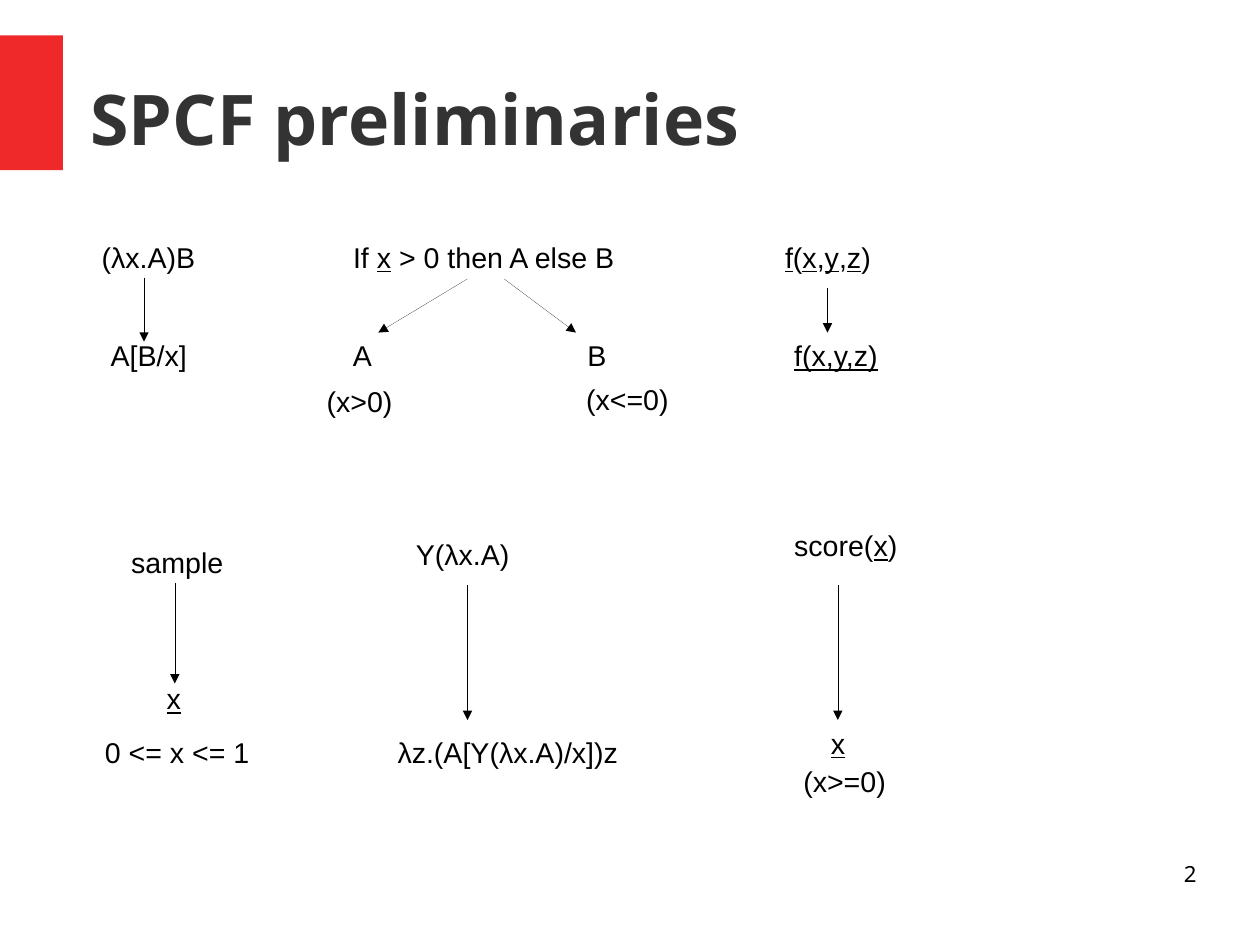
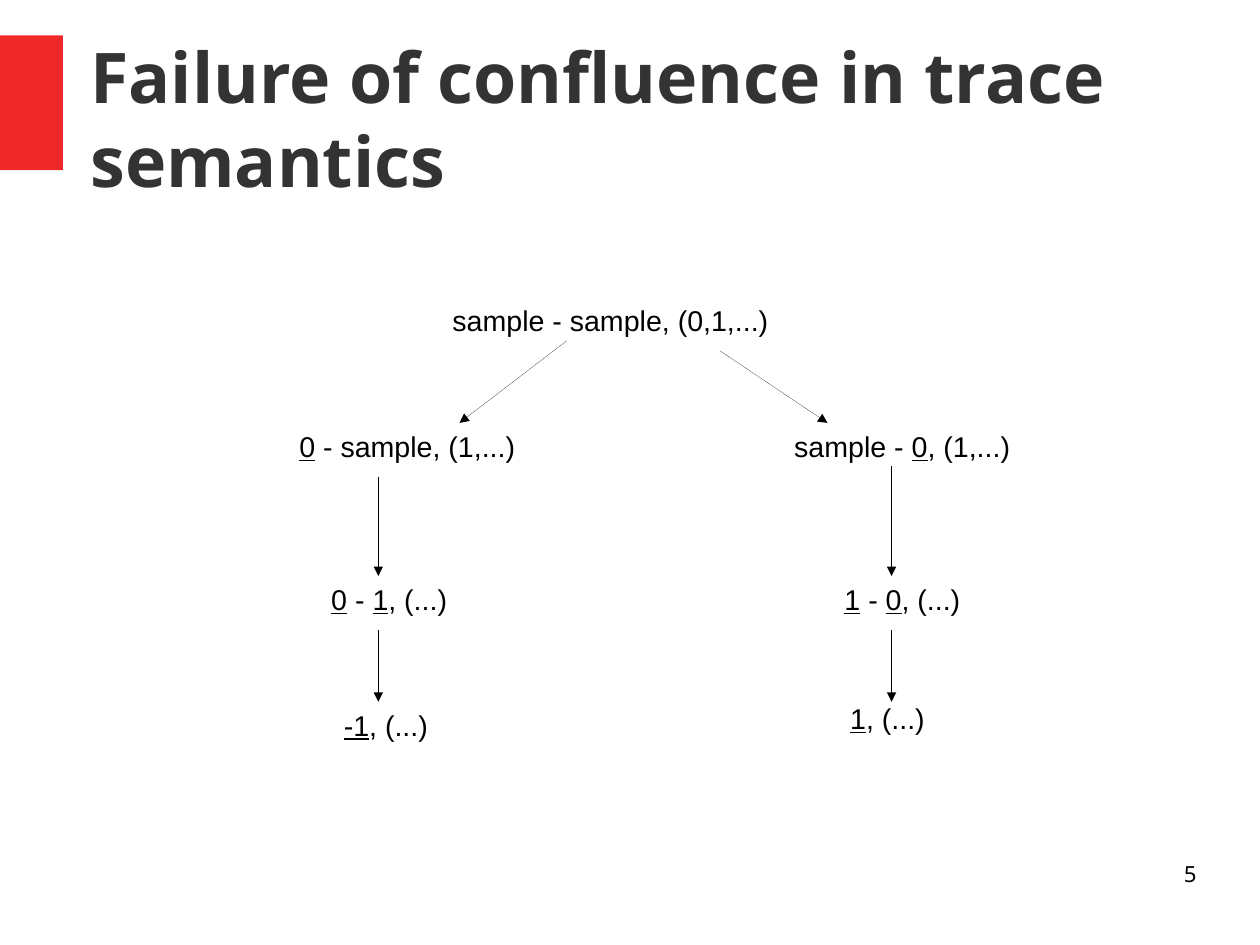
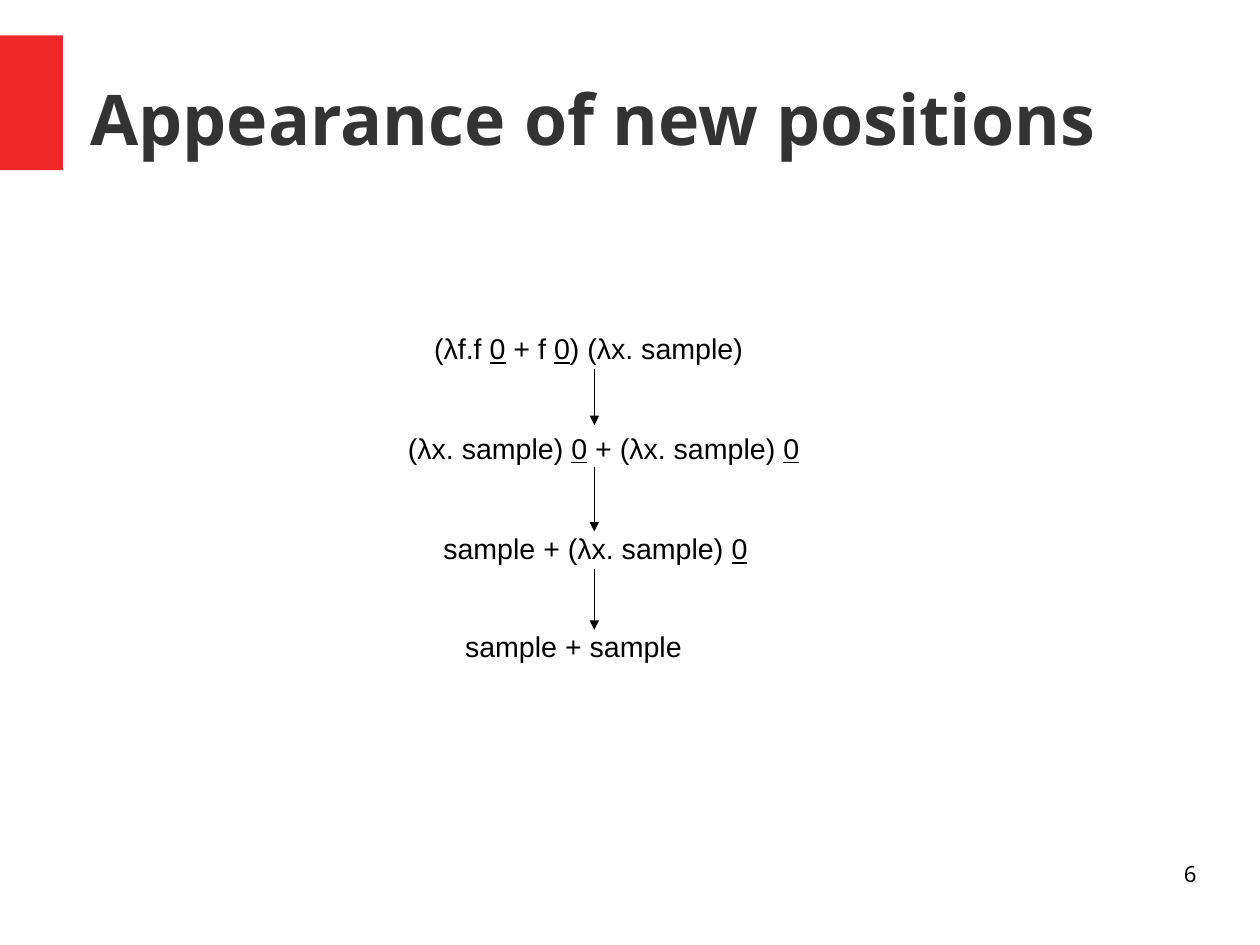
from dataclasses import dataclass

import pptx
import pptx.dml.color
import pptx.enum.shapes
import pptx.enum.text
import pptx.oxml
import pptx.oxml.ns
import pptx.util
from pptx.util import Inches

ALIGN = pptx.enum.text.PP_ALIGN
ANCHOR = pptx.enum.text.MSO_ANCHOR
AUTO_SIZE = pptx.enum.text.MSO_AUTO_SIZE


def rgb(value):
    return pptx.dml.color.RGBColor.from_string(value)


def set_all(target, values):
    for name, value in values.items():
        setattr(target, name, value)


@dataclass(frozen=True)
class Theme:
    accent = rgb("EF2929")
    ink = rgb("000000")
    title = {"name": "Noto Sans", "size": pptx.util.Pt(44), "bold": True}
    title_color = rgb("333333")
    term = {"name": "Arial", "size": pptx.util.Pt(18)}
    number = {"name": "Noto Sans", "size": pptx.util.Pt(14)}
    title_frame = {
        "margin_left": 0, "margin_top": 0, "margin_right": 0, "margin_bottom": 0,
        "word_wrap": True, "vertical_anchor": ANCHOR.MIDDLE,
        "auto_size": AUTO_SIZE.NONE,
    }
    number_frame = {**title_frame, "vertical_anchor": ANCHOR.TOP}
    term_frame = {"word_wrap": True, "auto_size": AUTO_SIZE.SHAPE_TO_FIT_TEXT}


class Deck:
    term_height = 0.38
    term_slack = 0.03

    def __init__(self):
        self.theme = Theme()
        self.deck = pptx.Presentation()
        # 28 by 21 cm is the exact page format.
        self.deck.slide_width = pptx.util.Cm(28)
        self.deck.slide_height = pptx.util.Cm(21)
        self.page = None

    def add_page(self, title, number):
        self.page = self.deck.slides.add_slide(self.deck.slide_layouts[5])
        self.add_band()
        self.set_title(title)
        self.add_number(number)

    def add_band(self):
        band = self.page.shapes.add_shape(
            pptx.enum.shapes.MSO_SHAPE.RECTANGLE,
            0, Inches(0.31), Inches(0.55), Inches(1.18))
        band.shadow.inherit = False
        band.fill.solid()
        band.fill.fore_color.rgb = self.theme.accent
        band.line.fill.background()

    def set_title(self, text):
        title = self.page.shapes.title
        set_all(title, {"left": Inches(0.79), "top": Inches(0.19),
                        "width": Inches(9.68), "height": Inches(1.67)})
        set_all(title.text_frame, self.theme.title_frame)
        para = title.text_frame.paragraphs[0]
        para.alignment = ALIGN.LEFT
        self.add_span(para, text, self.theme.title, self.theme.title_color)

    def add_number(self, number):
        box = self.page.shapes.add_textbox(
            Inches(7.9), Inches(7.53), Inches(2.57), Inches(0.57))
        set_all(box.text_frame, self.theme.number_frame)
        para = box.text_frame.paragraphs[0]
        para.alignment = ALIGN.RIGHT
        self.add_span(para, str(number), self.theme.number, self.theme.ink)

    def add_span(self, para, text, style, color):
        span = para.add_run()
        span.text = text
        set_all(span.font, style)
        span.font.color.rgb = color
        return span

    def add_term(self, left, top, width, text):
        """Place a term; parts between underscores are underlined."""
        box = self.page.shapes.add_textbox(
            Inches(left), Inches(top),
            Inches(width + self.term_slack), Inches(self.term_height))
        set_all(box.text_frame, self.theme.term_frame)
        para = box.text_frame.paragraphs[0]
        for index, part in enumerate(text.split("_")):
            if part:
                span = self.add_span(para, part, self.theme.term, self.theme.ink)
                span.font.underline = index % 2 == 1

    def add_arrow(self, start_x, start_y, end_x, end_y):
        arrow = self.page.shapes.add_connector(
            pptx.enum.shapes.MSO_CONNECTOR.STRAIGHT,
            Inches(start_x), Inches(start_y), Inches(end_x), Inches(end_y))
        arrow.line.color.rgb = self.theme.ink
        properties = arrow._element.spPr
        line = properties.find(pptx.oxml.ns.qn("a:ln"))
        line.set("w", "0")
        head = pptx.oxml.parse_xml(
            f'<a:tailEnd {pptx.oxml.ns.nsdecls("a")} type="triangle"/>')
        line.append(head)
        properties.append(pptx.oxml.parse_xml(
            f'<a:effectLst {pptx.oxml.ns.nsdecls("a")}/>'))

    def add_diagram(self, terms, arrows):
        for term in terms:
            self.add_term(*term)
        for arrow in arrows:
            self.add_arrow(*arrow)


def down(x, start_y, end_y):
    return x, start_y, x, end_y


def build_preliminaries(deck):
    deck.add_page("SPCF preliminaries", 2)
    redex_y, result_y = 2.05, 2.91
    terms = [
        (0.79, redex_y, 1.02, "(λx.A)B"),
        (0.87, result_y, 1.18, "A[B/x]"),
        (2.99, redex_y, 2.52, "If _x_ > 0 then A else B"),
        (2.99, result_y, 0.47, "A"),
        (2.76, 3.31, 0.77, "(x>0)"),
        (5.04, result_y, 0.37, "B"),
        (5.03, 3.29, 0.92, "(x<=0)"),
        (6.77, redex_y, 0.95, "_f_(_x_,_y_,_z_)"),
        (6.85, result_y, 0.93, "_f(x,y,z)_"),
        (1.05, 4.72, 1, "sample"),
        (1.36, 5.91, 0.32, "_x_"),
        (0.82, 6.38, 1.47, "0 <= x <= 1"),
        (3.54, 4.65, 1.02, "Y(λx.A)"),
        (3.38, 6.38, 2.13, "λz.(A[Y(λx.A)/x])z"),
        (6.85, 4.57, 1.1, "score(_x_)"),
        (7.17, 6.3, 0.32, "_x_"),
        (6.93, 6.63, 0.92, "(x>=0)"),
    ]
    arrows = [
        down(1.26, 2.43, 2.99),
        (4.09, 2.44, 3.31, result_y),
        (4.41, 2.44, 5.04, result_y),
        down(7.24, 2.52, result_y),
        down(1.53, 5.1, 5.98),
        *[down(x, 5.12, 6.3) for x in (4.09, 7.33)],
    ]
    deck.add_diagram(terms, arrows)


def build_confluence(deck):
    deck.add_page("Failure of confluence in trace semantics", 5)
    first_y, second_y, last_y = 3.7, 5.04, 6.14
    left_x, right_x = 3.31, 7.8
    terms = [
        (3.86, 2.6, 2.96, "sample - sample, (0,1,...)"),
        (2.52, first_y, 2.09, "_0_ - sample, (1,...)"),
        (2.8, second_y, 1.21, "_0_ - _1_, (...)"),
        (2.91, last_y, 0.94, "_-1_, (...)"),
        (6.85, first_y, 2.09, "sample - _0_, (1,...)"),
        (7.29, second_y, 1.21, "_1_ - _0_, (...)"),
        (7.34, 6.08, 0.85, "_1_, (...)"),
    ]
    arrows = [
        (4.96, 2.98, 4.02, first_y),
        (6.3, 3.07, 7.24, first_y),
        down(left_x, 4.17, second_y),
        down(right_x, 4.08, second_y),
        *[down(x, 5.51, last_y) for x in (left_x, right_x)],
    ]
    deck.add_diagram(terms, arrows)


def build_positions(deck):
    deck.add_page("Appearance of new positions", 6)
    terms = [
        (3.7, 2.85, 2.9, "(λf.f _0_ + f _0_) (λx. sample)"),
        (3.47, 3.72, 3.62, "(λx. sample) _0_ + (λx. sample) _0_"),
        (3.78, 4.6, 2.86, "sample + (λx. sample) _0_"),
        (3.97, 5.45, 2.09, "sample + sample"),
    ]
    steps = [(3.23, 3.72), (4.09, 4.65), (4.98, 5.51)]
    deck.add_diagram(terms, [down(5.2, *step) for step in steps])


def main():
    deck = Deck()
    for build in (build_preliminaries, build_confluence, build_positions):
        build(deck)
    deck.deck.save("out.pptx")


if __name__ == "__main__":
    main()
